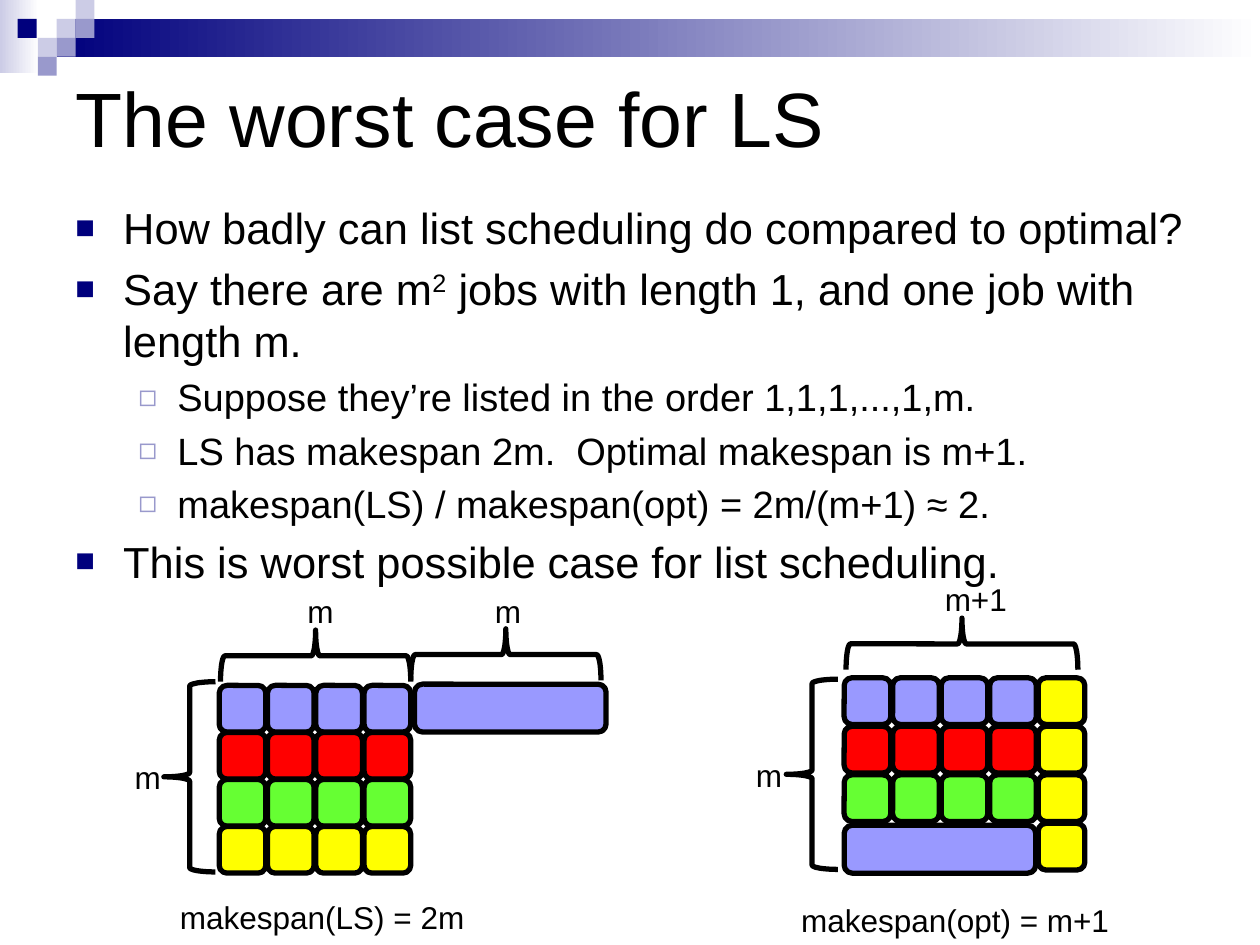
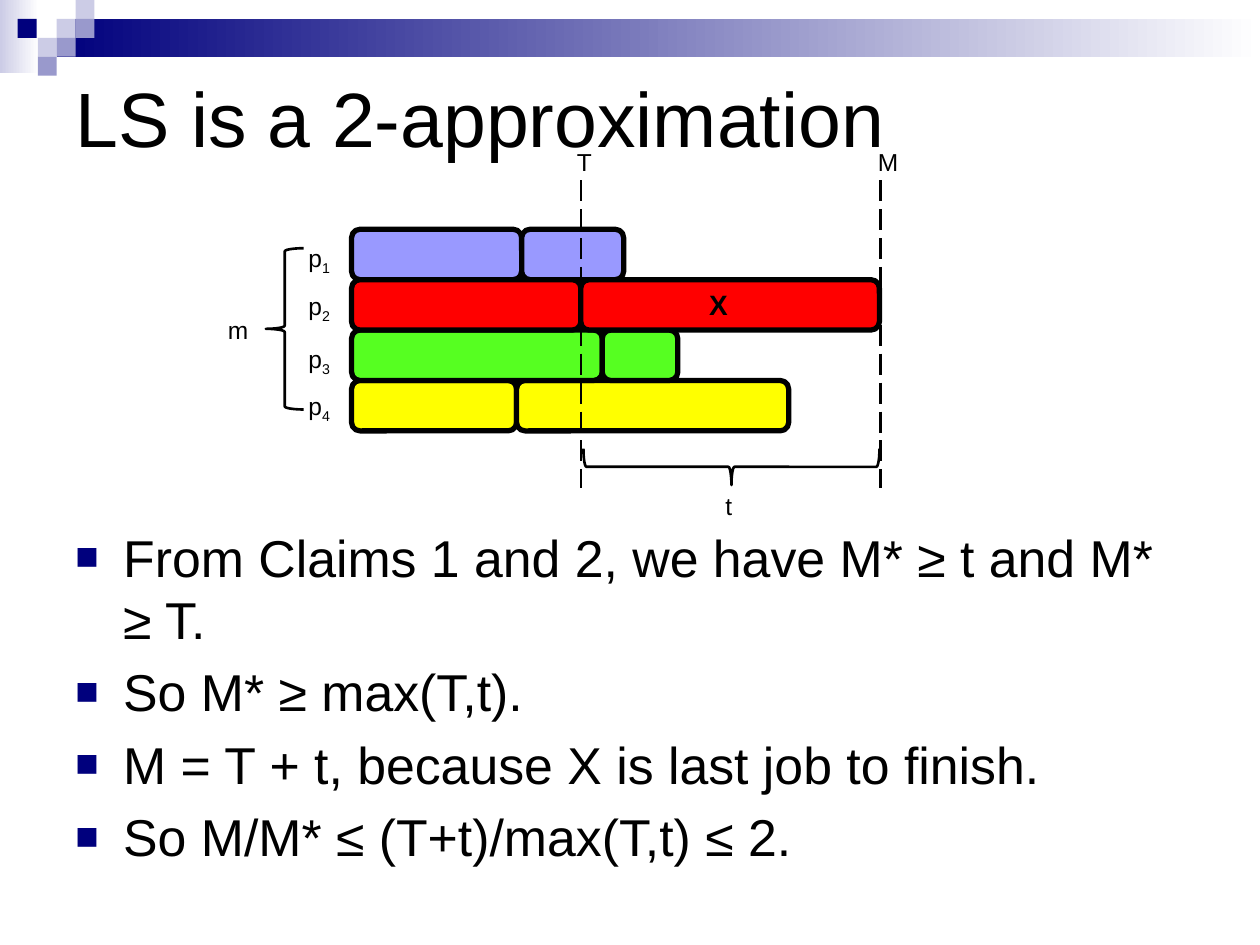
from lxml import etree
from pptx import Presentation
from pptx import util as u
from pptx.dml.color import RGBColor
from pptx.enum import dml, shapes, text
from pptx.oxml import ns

BLACK = RGBColor(0x00, 0x00, 0x00)
WHITE = RGBColor(0xFF, 0xFF, 0xFF)
NAVY = RGBColor(0x00, 0x00, 0x7D)
LAVENDER = RGBColor(0x99, 0x99, 0xCC)
PALE = RGBColor(0xCC, 0xCC, 0xE6)
BLUE = RGBColor(0x99, 0x99, 0xFF)
RED = RGBColor(0xFF, 0x00, 0x00)
GREEN = RGBColor(0x66, 0xFF, 0x33)
LIME = RGBColor(0x56, 0xFF, 0x21)
YELLOW = RGBColor(0xFF, 0xFF, 0x00)

RECT = shapes.MSO_SHAPE.RECTANGLE
JOB = shapes.MSO_SHAPE.ROUNDED_RECTANGLE
RIGHT_BRACE = shapes.MSO_SHAPE.RIGHT_BRACE
LEFT_BRACE = shapes.MSO_SHAPE.LEFT_BRACE

BULLET = """<a:pPr xmlns:a="http://schemas.openxmlformats.org/drawingml/2006/main">
<a:spcBef><a:spcPct val="20000"/></a:spcBef><a:buClr><a:srgbClr val="{}"/></a:buClr>
<a:buSzPct val="{}000"/><a:buFont typeface="Arial"/><a:buChar char="{}"/></a:pPr>"""

# Per outline level: left margin, hanging indent, bullet colour, bullet size, bullet
LEVELS = [(0.38, 0.38, NAVY, 75, "■"), (0.81, 0.31, LAVENDER, 80, "◻")]


def draw(page, kind, place, fill=None, weight=None, turn=0):
    """Add a shape; fill is a colour, a (from, to) gradient or None."""
    shape = page.shapes.add_shape(kind, *map(u.Inches, place))
    shape.shadow.inherit = False
    shape.rotation = turn
    if fill is None:
        shape.fill.background()
    elif isinstance(fill, RGBColor):
        shape.fill.solid()
        shape.fill.fore_color.rgb = fill
    else:
        shape.fill.gradient()
        shape.fill.gradient_angle = 0
        for stop, colour, position in zip(shape.fill.gradient_stops, fill, (0, 1)):
            stop.color.rgb = colour
            stop.position = position
    if weight:
        shape.line.color.rgb = BLACK
        shape.line.width = u.Pt(weight)
    else:
        shape.line.fill.background()
    return shape


def write(para, pieces, size, bold=False):
    """Write a string, or a list of (string, baseline shift in percent)."""
    if isinstance(pieces, str):
        pieces = [(pieces, 0)]
    for words, shift in pieces:
        span = para.add_run()
        span.text = words
        span.font.color.rgb = BLACK
        for name, value in {"name": "Arial", "size": u.Pt(size), "bold": bold}.items():
            setattr(span.font, name, value)
        if shift:
            span.font._element.set("baseline", str(shift * 1000))


deck = Presentation()
deck.slide_width, deck.slide_height = u.Inches(10), u.Inches(7.5)
layout = deck.slide_layouts[5]
worst, approx = [deck.slides.add_slide(layout) for _ in range(2)]

# Header band and checker squares, moved into the shared layout
header = [((0, 0, 0.31, 0.58), (PALE, WHITE)), ((0.45, 0.15, 9.55, 0.3), (NAVY, WHITE))]
squares = [(0.45, 0.15, PALE), (0.6, 0, PALE), (0.6, 0.15, LAVENDER), (0.3, 0.3, PALE),
           (0.14, 0.15, NAVY), (0.45, 0.3, LAVENDER), (0.3, 0.45, LAVENDER)]
header += [((left, top, 0.15, 0.15), colour) for left, top, colour in squares]
for position, (place, fill) in enumerate(header, start=2):
    layout.shapes.element.insert(position, draw(worst, RECT, place, fill).element)

# Titles
for page, words in [(worst, "The worst case for LS"), (approx, "LS is a 2-approximation")]:
    title = page.shapes.title
    for name, value in zip(("left", "top", "width", "height"), (0.5, 0.5, 9, 0.86)):
        setattr(title, name, u.Inches(value))
    title.text_frame.vertical_anchor = text.MSO_ANCHOR.MIDDLE
    para = title.text_frame.paragraphs[0]
    para.alignment = text.PP_ALIGN.LEFT
    write(para, words, 44)

# Bulleted text: page, top, height, sizes per level, (level, words)
bodies = [
    (worst, 1.55, 3.17, (24.8, 21.7), [
        (0, "How badly can list scheduling do compared to optimal?"),
        (0, [("Say there are m", 0), ("2", 30),
             (" jobs with length 1, and one job with length m.", 0)]),
        (1, "Suppose they’re listed in the order 1,1,1,...,1,m."),
        (1, "LS has makespan 2m.  Optimal makespan is m+1."),
        (1, "makespan(LS) / makespan(opt) = 2m/(m+1) ≈ 2."),
        (0, "This is worst possible case for list scheduling.")]),
    (approx, 4.12, 2.79, (29.6,), [
        (0, "From Claims 1 and 2, we have M* ≥ t and M* ≥ T."),
        (0, "So M* ≥ max(T,t)."),
        (0, "M = T + t, because X is last job to finish."),
        (0, "So M/M* ≤ (T+t)/max(T,t) ≤ 2.")]),
]
for page, top, height, sizes, lines in bodies:
    box = page.shapes.add_textbox(*map(u.Inches, (0.5, top, 9, height)))
    frame = box.text_frame
    frame.word_wrap = True
    for number, (level, words) in enumerate(lines):
        para = frame.add_paragraph() if number else frame.paragraphs[0]
        para.level = level
        margin, hanging, colour, percent, bullet = LEVELS[level]
        layout_of_para = para._p.get_or_add_pPr()
        layout_of_para.set("marL", str(u.Inches(margin)))
        layout_of_para.set("indent", str(-u.Inches(hanging)))
        layout_of_para.extend(etree.fromstring(BULLET.format(colour, percent, bullet)))
        write(para, words, sizes[level])

# List schedule: a 4 x 4 grid of unit jobs, then the long job
UNIT = 0.37
for row, colour in enumerate((BLUE, RED, GREEN, YELLOW)):
    for column in range(4):
        place = (1.74 + column * 1.15 / 3, 5.44 + row * 1.12 / 3, UNIT, UNIT)
        draw(worst, JOB, place, colour, 3)
draw(worst, JOB, (3.29, 5.43, 1.52, 0.38), BLUE, 3)

# Optimal schedule: three rows of unit jobs, a yellow last column, the long job below
STEP = 1.54 / 4
for row, colour in enumerate((BLUE, RED, GREEN)):
    for column in range(4):
        draw(worst, JOB, (6.7 + column * STEP, 5.38 + row * STEP, UNIT, UNIT), colour, 3)
for row in range(4):
    draw(worst, JOB, (8.24, 5.38 + row * STEP, UNIT, UNIT), YELLOW, 3)
draw(worst, JOB, (6.7, 6.55, 1.52, 0.38), BLUE, 3)

# Gantt chart of the four processors: row, colour, job lengths
gantt = [(0, BLUE, (1.35, 0.81)), (3, YELLOW, (1.31, 2.16)),
         (2, LIME, (1.99, 0.6)), (1, RED, (1.82, 2.37))]
for row, colour, lengths in gantt:
    left = 2.79
    for length in lengths:
        draw(approx, JOB, (left, 1.82 + row * 0.4, length, 0.4), colour, 3)
        left += length

# Dashed time marks at T and M
for left in (4.61, 6.99):
    mark = approx.shapes.add_connector(
        shapes.MSO_CONNECTOR.STRAIGHT, *map(u.Inches, (left, 1.43, left, 3.87)))
    mark.line.color.rgb = BLACK
    mark.line.width = u.Pt(1.5)
    mark.line.dash_style = dml.MSO_LINE.LONG_DASH
    etree.SubElement(mark.element.spPr, ns.qn("a:effectLst"))

# Braces: page, kind, place before turning, line weight, turn
braces = [
    (worst, RIGHT_BRACE, (2.3, 4.45, 0.41, 1.51), 3, 270),
    (worst, RIGHT_BRACE, (3.81, 4.44, 0.41, 1.51), 3, 270),
    (worst, RIGHT_BRACE, (1.3, 5.41, 0.41, 1.51), 3, 180),
    (worst, RIGHT_BRACE, (6.24, 5.39, 0.41, 1.51), 3, 180),
    (worst, RIGHT_BRACE, (7.43, 4.19, 0.41, 1.84), 3, 270),
    (approx, LEFT_BRACE, (2.11, 1.97, 0.3, 1.28), 1.5, 0),
    (approx, RIGHT_BRACE, (5.66, 2.53, 0.29, 2.35), 1.5, 90),
]
for page, kind, place, weight, turn in braces:
    draw(page, kind, place, None, weight, turn)

# Labels: page, place, size, words
labels = [
    (worst, (2.34, 4.65, 0.65, 0.35), 18, "m"),
    (worst, (3.83, 4.65, 0.65, 0.35), 18, "m"),
    (worst, (0.97, 5.97, 0.65, 0.35), 18, "m"),
    (worst, (5.9, 5.95, 0.65, 0.35), 18, "m"),
    (worst, (7.4, 4.55, 0.78, 0.35), 18, "m+1"),
    (worst, (1.33, 7.08, 2.68, 0.42), 18, "makespan(LS) = 2m"),
    (worst, (6.26, 7.1, 2.96, 0.4), 18, "makespan(opt) = m+1"),
    (approx, (4.48, 1.12, 0.44, 0.29), 14, "T"),
    (approx, (6.87, 1.12, 0.44, 0.29), 14, "M"),
    (approx, (1.71, 2.45, 0.79, 0.34), 14, "m"),
    (approx, (5.66, 3.85, 0.44, 0.29), 14, "t"),
    (approx, (5.53, 2.23, 0.44, 0.37), 16, "X"),
]
for number, top in enumerate((1.88, 2.26, 2.68, 3.05), start=1):
    labels.append((approx, (2.35, top, 0.44, 0.29), 14, [("p", 0), (str(number), -25)]))
for page, place, size, words in labels:
    box = page.shapes.add_textbox(*map(u.Inches, place))
    box.text_frame.word_wrap = True
    write(box.text_frame.paragraphs[0], words, size, bold=words == "X")

deck.save("out.pptx")
